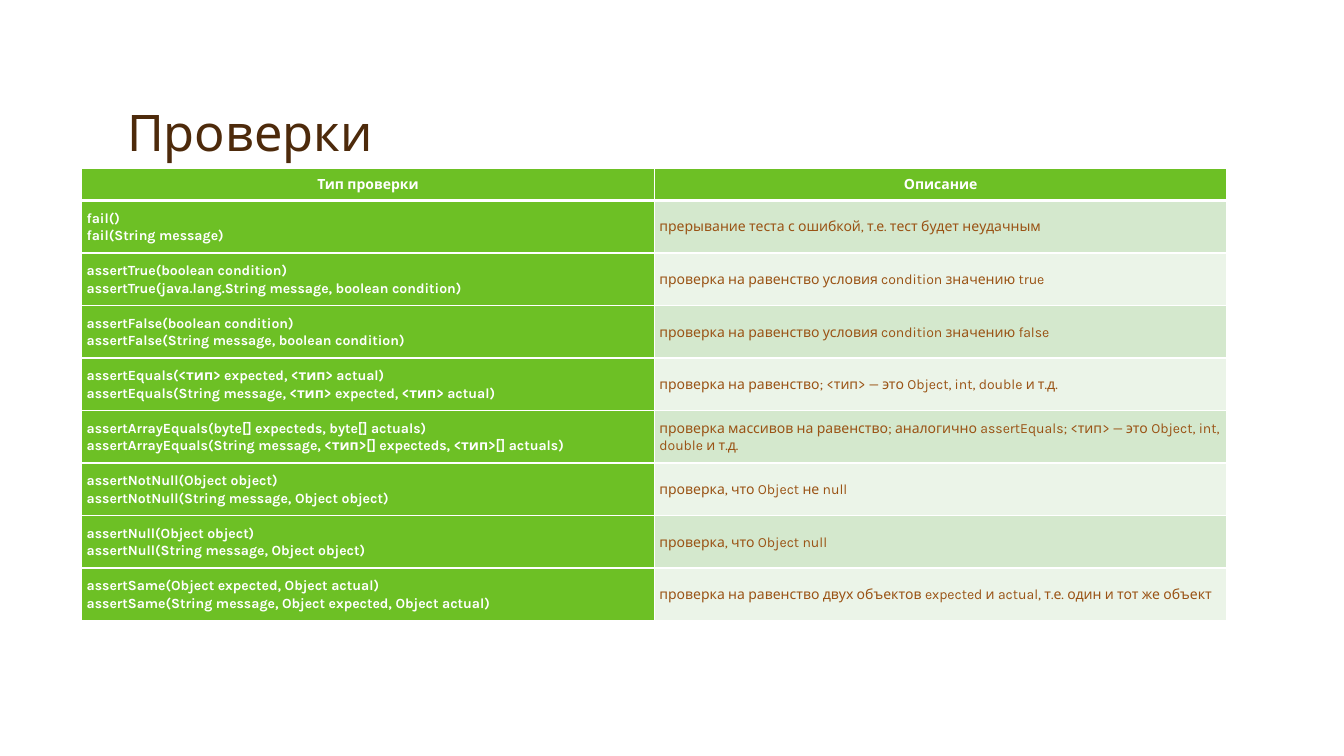
import pptx
import pptx.dml.color
import pptx.enum.text
import pptx.oxml
import pptx.oxml.ns
import pptx.util
from pptx.dml.color import RGBColor
from pptx.util import Inches

WHITE = RGBColor(0xFF, 0xFF, 0xFF)
GREEN = RGBColor(0x6D, 0xC0, 0x25)
BANDS = [RGBColor(0xD4, 0xE8, 0xCD), RGBColor(0xEB, 0xF4, 0xE8)]
TITLE_BROWN = RGBColor(0x4D, 0x2A, 0x0B)
TEXT_BROWN = RGBColor(0x9A, 0x53, 0x15)
FONT = "Karla"

HEADINGS = ("Тип проверки", "Описание")
CHECKS = [
    ("fail()\nfail(String message)",
     "прерывание теста с ошибкой, т.е. тест будет неудачным"),
    ("assertTrue(boolean condition)\n"
     "assertTrue(java.lang.String message, boolean condition)",
     "проверка на равенство условия condition значению true"),
    ("assertFalse(boolean condition)\n"
     "assertFalse(String message, boolean condition)",
     "проверка на равенство условия condition значению false"),
    ("assertEquals(<тип> expected, <тип> actual)\n"
     "assertEquals(String message, <тип> expected, <тип> actual)",
     "проверка на равенство; <тип> — это Object, int, double и т.д."),
    ("assertArrayEquals(byte[] expecteds, byte[] actuals)\n"
     "assertArrayEquals(String message, <тип>[] expecteds, <тип>[] actuals)",
     "проверка массивов на равенство; аналогично assertEquals; "
     "<тип> — это Object, int, double и т.д."),
    ("assertNotNull(Object object)\n"
     "assertNotNull(String message, Object object)",
     "проверка, что Object не null"),
    ("assertNull(Object object)\n"
     "assertNull(String message, Object object)",
     "проверка, что Object null"),
    ("assertSame(Object expected, Object actual)\n"
     "assertSame(String message, Object expected, Object actual)",
     "проверка на равенство двух объектов expected и actual, "
     "т.е. один и тот же объект"),
]


def add_run(paragraph, text, size, color, bold=False):
    run = paragraph.add_run()
    run.text = text
    run.font.name = FONT
    run.font.size = pptx.util.Pt(size)
    run.font.bold = bold
    run.font.color.rgb = color


def set_borders(cell, bottom_width):
    """White borders; they must precede the fill in the cell properties."""
    properties = cell._tc.get_or_add_tcPr()
    for position, side in enumerate("LRTB"):
        width = pptx.util.Pt(bottom_width if side == "B" else 1)
        properties.insert(position, pptx.oxml.parse_xml(
            f'<a:ln{side} {pptx.oxml.ns.nsdecls("a")} w="{width}">'
            f'<a:solidFill><a:srgbClr val="{WHITE}"/></a:solidFill>'
            f'</a:ln{side}>'))


def fill_cell(cell, text, fill, color, bold, align, bottom_width=1):
    cell.fill.solid()
    cell.fill.fore_color.rgb = fill
    cell.vertical_anchor = pptx.enum.text.MSO_ANCHOR.MIDDLE
    cell.margin_left = cell.margin_right = Inches(0.05)
    cell.margin_top = cell.margin_bottom = Inches(0.05)
    paragraph = cell.text_frame.paragraphs[0]
    paragraph.alignment = align
    paragraph.line_spacing = 1.07
    for number, line in enumerate(text.split("\n")):
        if number:
            paragraph.add_line_break()
        add_run(paragraph, line, 10, color, bold)
    set_borders(cell, bottom_width)


def place_title(slide, left, top, width, height):
    title = slide.shapes.title
    title.left, title.top = Inches(left), Inches(top)
    title.width, title.height = Inches(width), Inches(height)
    frame = title.text_frame
    frame.auto_size = pptx.enum.text.MSO_AUTO_SIZE.NONE
    frame.vertical_anchor = pptx.enum.text.MSO_ANCHOR.BOTTOM
    paragraph = frame.paragraphs[0]
    paragraph.alignment = pptx.enum.text.PP_ALIGN.LEFT
    paragraph.line_spacing = 0.9
    add_run(paragraph, "Проверки", 36, TITLE_BROWN)


def add_checks_table(slide, left, top, width, height):
    checks = slide.shapes.add_table(
        len(CHECKS) + 1, len(HEADINGS), Inches(left), Inches(top),
        Inches(width), Inches(height)).table
    header_height = 0.32
    row_height = (height - header_height) / len(CHECKS)
    for column in checks.columns:
        column.width = Inches(width / len(HEADINGS))
    for number, row in enumerate(checks.rows):
        row.height = Inches(row_height if number else header_height)

    # Header row
    align = pptx.enum.text.PP_ALIGN
    for column, heading in enumerate(HEADINGS):
        fill_cell(checks.cell(0, column), heading, GREEN, WHITE, True,
                  align.CENTER, bottom_width=3)

    # Signatures on green, descriptions on alternating bands
    for row, (signatures, description) in enumerate(CHECKS, start=1):
        fill_cell(checks.cell(row, 0), signatures, GREEN, WHITE, True,
                  align.LEFT)
        fill_cell(checks.cell(row, 1), description, BANDS[(row - 1) % 2],
                  TEXT_BROWN, False, align.LEFT)


def main():
    deck = pptx.Presentation()
    deck.slide_width, deck.slide_height = Inches(13.33), Inches(7.5)
    slide = deck.slides.add_slide(deck.slide_layouts[5])
    place_title(slide, 1.16, 0.33, 11, 1.33)
    add_checks_table(slide, 0.81, 1.67, 11.36, 4.49)
    deck.save("out.pptx")


if __name__ == "__main__":
    main()
